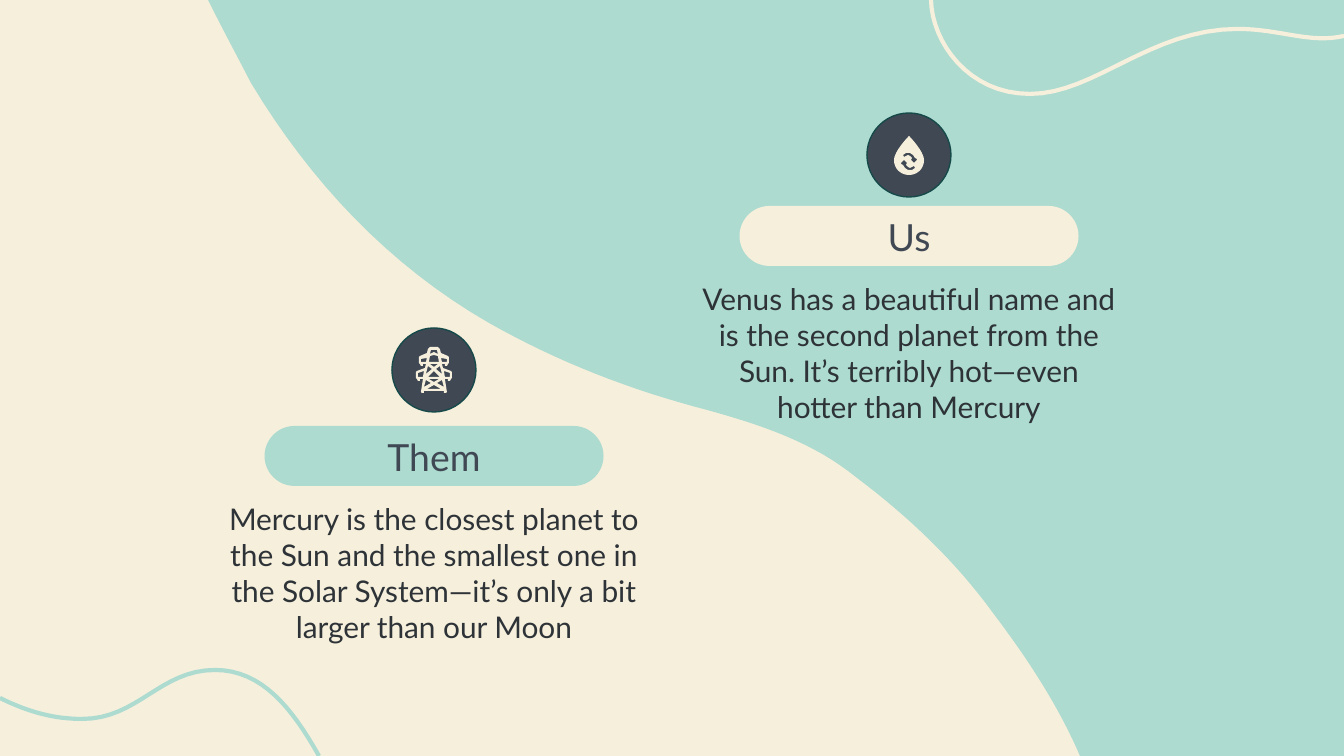
"""Build a slide that compares two sides, each with an icon, a label and a note."""
import pptx
import pptx.util
import pptx.dml.color
import pptx.enum.shapes
import pptx.enum.text

PX = 914400 / 134.4
WIDE, HIGH = 1344, 756
THEME = {
    "cream": "F6EFDC", "mint": "ADDBD0", "slate": "3F4853",
    "edge": "164A4A", "ink": "2E3338", "font": "Lato", "head": 20, "body": 16,
}
SIDES = [
    {"name": "Them", "mid": 434, "disc": 328, "pill": 426, "fill": "mint",
     "icon": "tower", "rise": 19, "title": True,
     "note": "Mercury is the closest planet to the Sun and the smallest one in "
             "the Solar System—it’s only a bit larger than our Moon"},
    {"name": "Us", "mid": 909, "disc": 113, "pill": 206, "fill": "cream",
     "icon": "drop", "rise": 23, "title": False,
     "note": "Venus has a beautiful name and is the second planet from the Sun. "
             "It’s terribly hot—even hotter than Mercury"},
]
DISC, PILL, TALL, NOTE, GAP = 84, 339, 60, 426, 75
WAVE = [
    (208, 0), (222, 28), (237, 56), (251, 83), (310, 181), (388, 265), (489, 323),
    (558, 362), (630, 390), (707, 410), (761, 425), (813, 442), (857, 478),
    (909, 517), (956, 562), (993, 613), (1028, 659), (1059, 707), (1080, 756),
]
TRAILS = [
    ("mint", [(0, 698), (28, 712), (54, 719), (82, 719), (138, 719), (160, 670),
              (215, 670), (262, 670), (292, 708), (319, 756)]),
    ("cream", [(931, 0), (932, 42), (968, 94), (1030, 94), (1095, 94), (1150, 29),
               (1238, 29), (1280, 29), (1310, 44), (1344, 36)]),
]
DROP = [(0, 0), (5, 5), (15, 17), (15, 24), (15, 33), (8, 39), (0, 39)]
ARROW = [(-6, 19), (-3, 17), (1, 17), (4, 19), (6, 22), (8, 23), (8, 24),
         (5, 27), (2, 24), (3, 22), (1, 20), (-1, 19), (-5, 21)]
HALVES = [
    [(4, 0), (6, 2), (7, 6), (14, 9), (15, 10), (15, 16), (14, 17), (13, 19),
     (11, 19), (11, 17), (8, 17), (9, 21), (17, 24), (18, 25), (18, 31), (17, 32),
     (16, 34), (14, 34), (14, 32), (11, 32), (13, 45), (12, 46), (10, 46), (10, 44)],
    [(3, 3), (4, 7), (0, 5)],
    [(0, 8), (4, 9), (5, 15)],
    [(4, 17), (0, 20)],
    [(0, 24), (6, 30)],
    [(5, 32), (0, 35)],
    [(0, 38), (7, 42)],
]
GAPS = [
    [(7, 11), (13, 12), (13, 15), (8, 15)],
    [(6, 19), (8, 27), (2, 22)],
    [(10, 24), (16, 26), (16, 30), (11, 30)],
    [(8, 33), (10, 40), (3, 36)],
]


def emu(*vals):
    return [round(val * PX) for val in vals]


def tint(key):
    return pptx.dml.color.RGBColor.from_string(THEME[key])


def apply(item, form):
    for key, val in form.items():
        setattr(item, key, val)


def curve(knots, steps=16):
    pts = [knots[0]]
    for i in range(0, len(knots) - 1, 3):
        a, b, c, d = knots[i:i + 4]
        for n in range(1, steps + 1):
            t = n / steps
            u = 1 - t
            pts.append(tuple(
                u ** 3 * p + 3 * u * u * t * q + 3 * u * t * t * r + t ** 3 * s
                for p, q, r, s in zip(a, b, c, d)))
    return pts


def flip(pts):
    return [(-x, y) for x, y in pts]


def ring(half):
    return half + flip(half)[::-1]


def paint(shape, fill=None, line=None, width=0.75):
    shape.shadow.inherit = False
    if fill:
        shape.fill.solid()
        shape.fill.fore_color.rgb = tint(fill)
    else:
        shape.fill.background()
    if line:
        shape.line.color.rgb = tint(line)
        shape.line.width = pptx.util.Pt(width)
    else:
        shape.line.fill.background()


def trace(shapes, rings, left=0, top=0, close=True):
    build = None
    for pts in rings:
        pts = [emu(left + x, top + y) for x, y in pts]
        if build is None:
            build = shapes.build_freeform(*pts[0], scale=1.0)
        else:
            build.move_to(*pts[0])
        build.add_line_segments(pts[1:], close=close)
    return build.convert_to_shape()


def write(box, text, size, color, anchor):
    frame = box.text_frame
    apply(frame, {
        "margin_left": 0, "margin_right": 0, "margin_top": 0, "margin_bottom": 0,
        "word_wrap": True, "vertical_anchor": anchor,
        "auto_size": pptx.enum.text.MSO_AUTO_SIZE.NONE, "text": text})
    para = frame.paragraphs[0]
    para.alignment = pptx.enum.text.PP_ALIGN.CENTER
    apply(para.font, {"name": THEME["font"], "size": pptx.util.Pt(THEME[size])})
    para.font.color.rgb = tint(color)


def main():
    deck = pptx.Presentation()
    deck.slide_width, deck.slide_height = emu(WIDE, HIGH)
    slide = deck.slides.add_slide(deck.slide_layouts[5])
    slide.background.fill.solid()
    slide.background.fill.fore_color.rgb = tint("cream")
    shapes = slide.shapes
    kind = pptx.enum.shapes.MSO_SHAPE
    anchor = pptx.enum.text.MSO_ANCHOR
    icons = {
        "tower": [ring(half) for half in HALVES] + GAPS + [flip(gap) for gap in GAPS],
        "drop": [ring(curve(DROP)), ARROW, [(-x, 51 - y) for x, y in ARROW]],
    }

    paint(trace(shapes, [curve(WAVE) + [(WIDE, HIGH), (WIDE, 0)]]), "mint")
    for color, knots in TRAILS:
        paint(trace(shapes, [curve(knots)], close=False), line=color, width=2.25)

    for side in SIDES:
        mid, pill = side["mid"], side["pill"]
        disc = shapes.add_shape(
            kind.OVAL, *emu(mid - DISC / 2, side["disc"], DISC, DISC))
        paint(disc, "slate", "edge")
        paint(trace(shapes, icons[side["icon"]], mid, side["disc"] + side["rise"]),
              "cream")
        bar = shapes.add_shape(
            kind.ROUNDED_RECTANGLE, *emu(mid - PILL / 2, pill, PILL, TALL))
        bar.adjustments[0] = 0.5
        paint(bar, side["fill"])

        left = mid - NOTE / 2
        spot = emu(left, pill + 2, NOTE, 58)
        if side["title"]:
            label = shapes.title
            label.element.getparent().append(label.element)
            apply(label, dict(zip(("left", "top", "width", "height"), spot)))
        else:
            label = shapes.add_textbox(*spot)
        write(label, side["name"], "head", "slate", anchor.MIDDLE)
        note = shapes.add_textbox(*emu(left, pill + GAP, NOTE, 153))
        write(note, side["note"], "body", "ink", anchor.TOP)

    deck.save("out.pptx")


if __name__ == "__main__":
    main()
